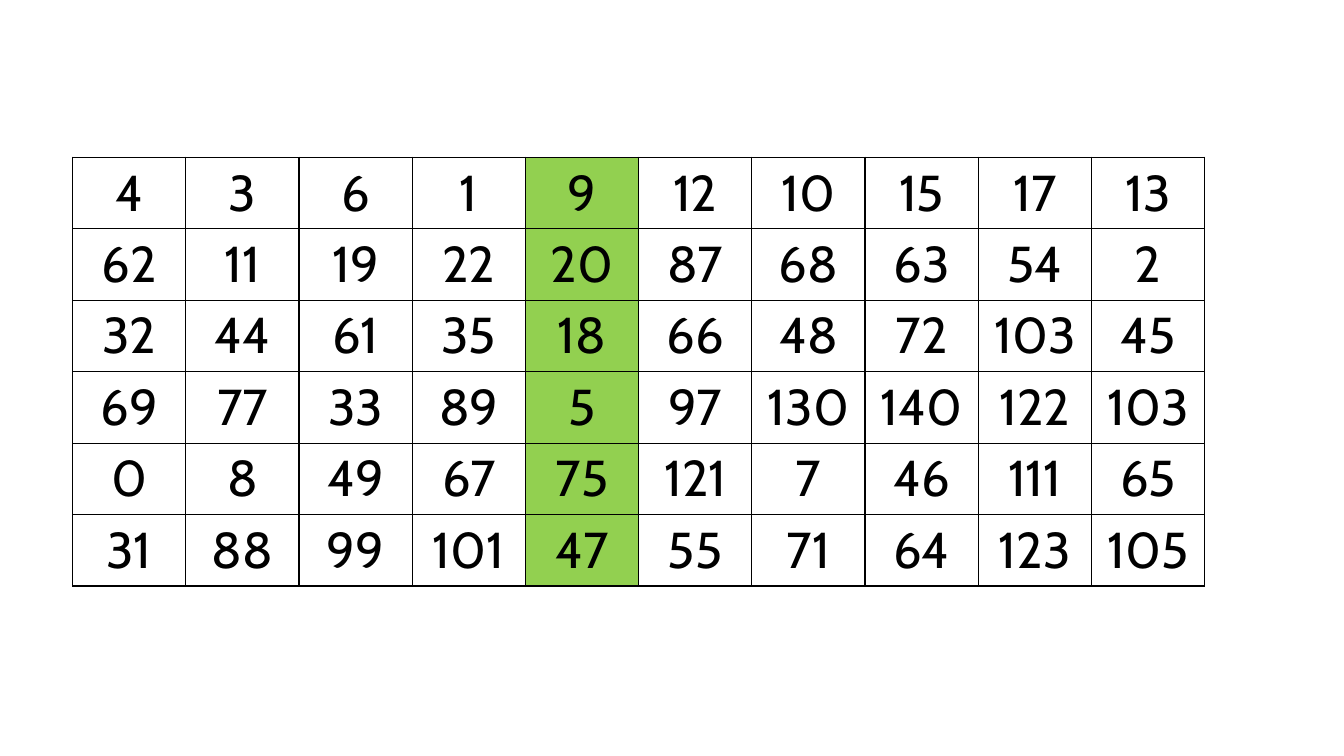
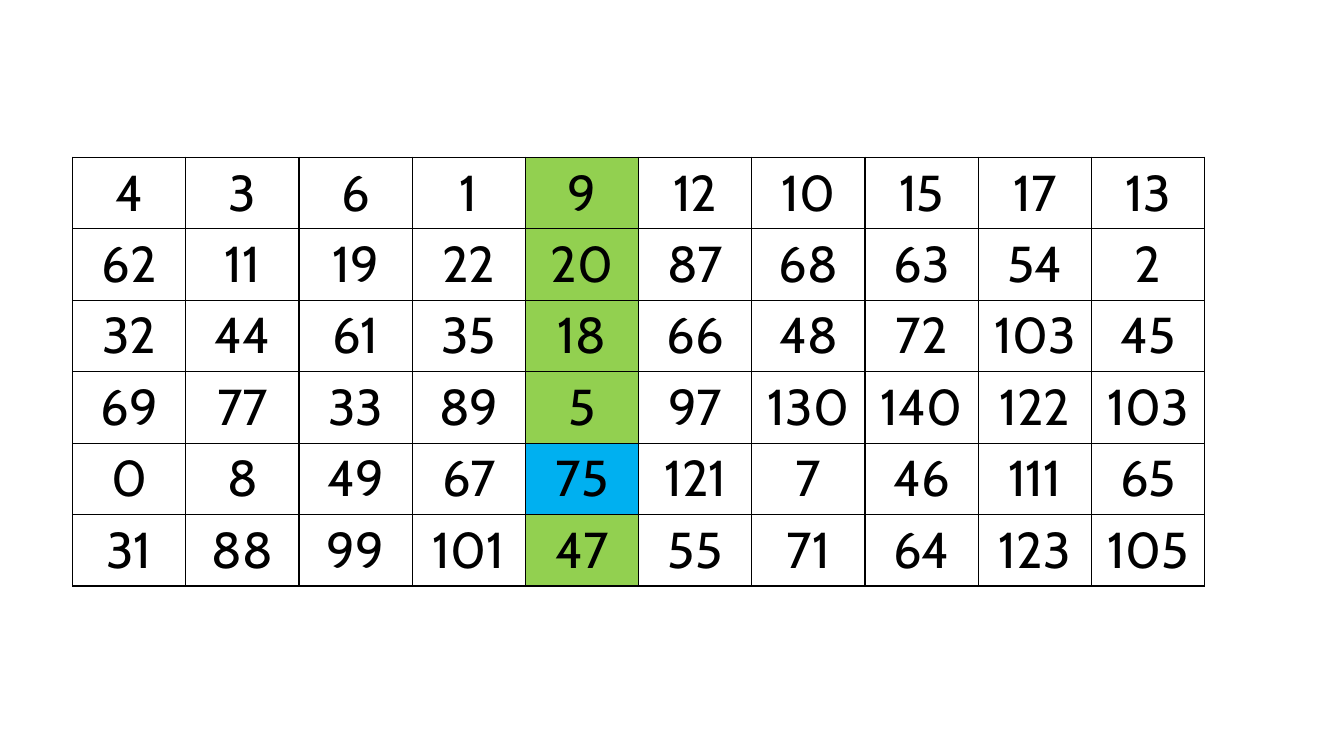
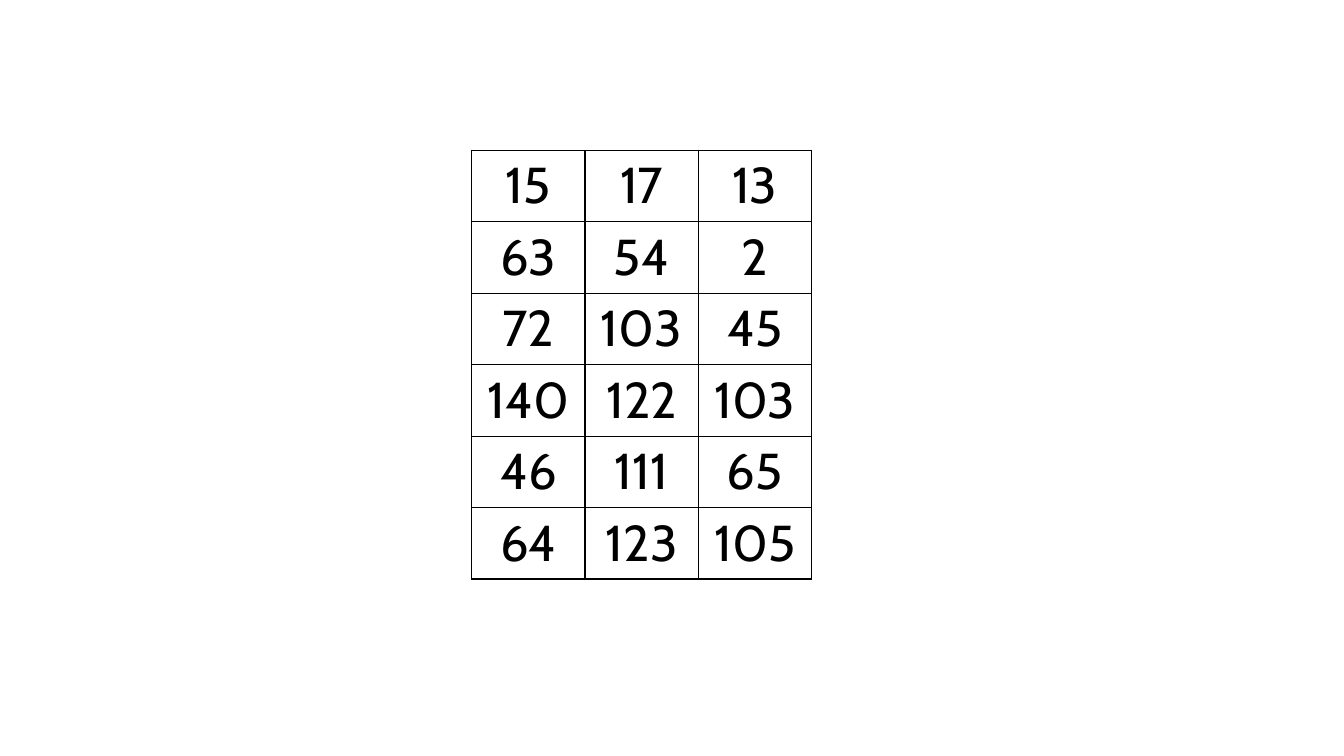
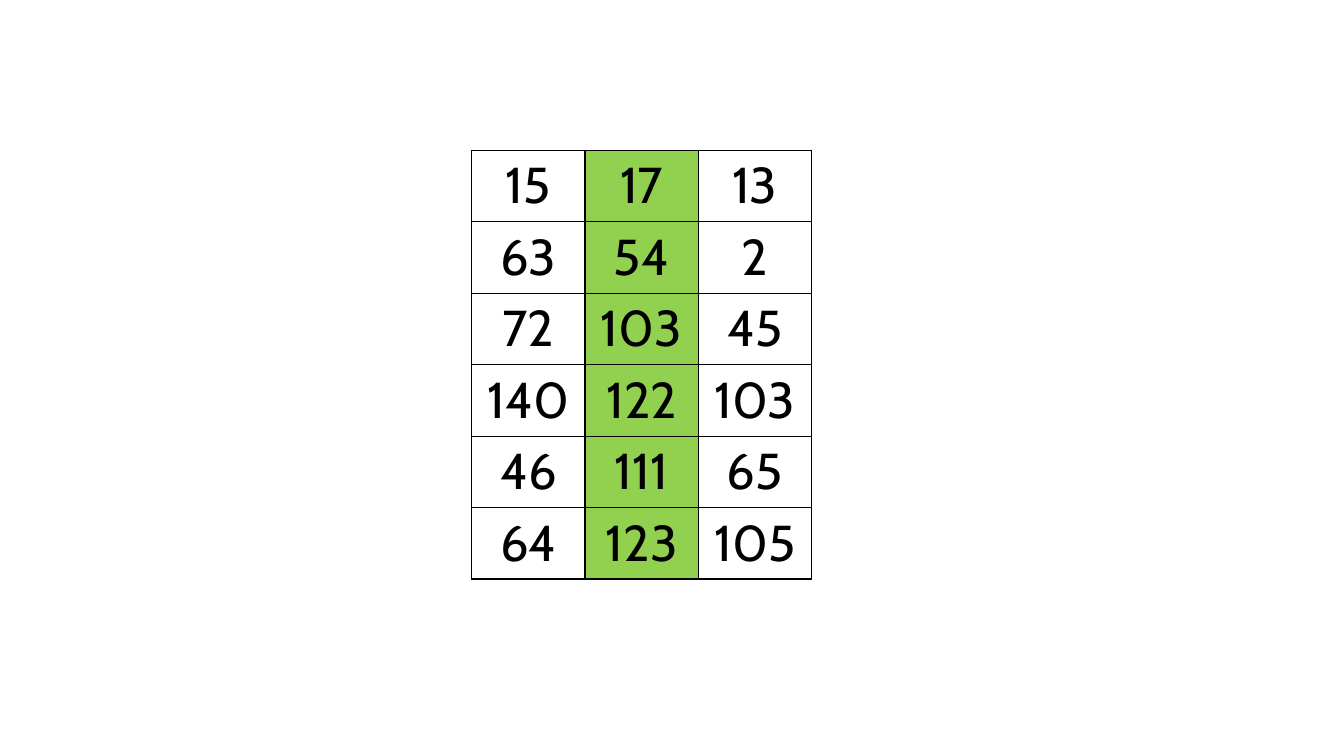
"""Build four slides that search a number grid for a peak, column by column."""
import lxml.etree
import pptx
import pptx.dml.color
import pptx.enum.text
import pptx.oxml.ns
import pptx.util

WHITE, BLACK, GREEN, BLUE = "FFFFFF", "000000", "92D050", "00B0F0"
FONT = "Cabin"
FONT_SIZE = 36
BORDER_WIDTH = 1
COLUMN_WIDTH = 1.123
ROW_HEIGHT = 0.7

NUMBERS = [
    [4, 3, 6, 1, 9, 12, 10, 15, 17, 13],
    [62, 11, 19, 22, 20, 87, 68, 63, 54, 2],
    [32, 44, 61, 35, 18, 66, 48, 72, 103, 45],
    [69, 77, 33, 89, 5, 97, 130, 140, 122, 103],
    [0, 8, 49, 67, 75, 121, 7, 46, 111, 65],
    [31, 88, 99, 101, 47, 55, 71, 64, 123, 105],
]
LAST_COLUMNS = [row[-3:] for row in NUMBERS]
FULL_POSITION = (0.72, 1.56)
LAST_POSITION = (4.68, 1.49)


def color(hex_string):
    return pptx.dml.color.RGBColor.from_string(hex_string)


def add_borders(cell):
    properties = cell._tc.get_or_add_tcPr()
    for side in ("a:lnL", "a:lnR", "a:lnT", "a:lnB"):
        line = lxml.etree.SubElement(properties, pptx.oxml.ns.qn(side))
        line.set("w", str(pptx.util.Pt(BORDER_WIDTH)))
        fill = lxml.etree.SubElement(line, pptx.oxml.ns.qn("a:solidFill"))
        lxml.etree.SubElement(fill, pptx.oxml.ns.qn("a:srgbClr")).set("val", BLACK)


presentation = pptx.Presentation()
presentation.slide_width = pptx.util.Inches(13.33)
presentation.slide_height = pptx.util.Inches(7.5)
blank_layout = presentation.slide_layouts[6]

steps = [
    (NUMBERS, FULL_POSITION, 4, None),
    (NUMBERS, FULL_POSITION, 4, 4),
    (LAST_COLUMNS, LAST_POSITION, None, None),
    (LAST_COLUMNS, LAST_POSITION, 1, None),
]

for numbers, (left, top), middle_column, maximum_row in steps:
    slide = presentation.slides.add_slide(blank_layout)
    row_count, column_count = len(numbers), len(numbers[0])
    table = slide.shapes.add_table(
        row_count,
        column_count,
        pptx.util.Inches(left),
        pptx.util.Inches(top),
        pptx.util.Inches(column_count * COLUMN_WIDTH),
        pptx.util.Inches(row_count * ROW_HEIGHT),
    ).table
    table.first_row = False
    table.horz_banding = False

    for row_index, row in enumerate(numbers):
        for column_index, number in enumerate(row):
            cell = table.cell(row_index, column_index)
            add_borders(cell)
            cell_color = WHITE
            if column_index == middle_column:
                cell_color = BLUE if row_index == maximum_row else GREEN
            cell.fill.solid()
            cell.fill.fore_color.rgb = color(cell_color)

            paragraph = cell.text_frame.paragraphs[0]
            paragraph.alignment = pptx.enum.text.PP_ALIGN.CENTER
            run = paragraph.add_run()
            run.text = str(number)
            run.font.name = FONT
            run.font.size = pptx.util.Pt(FONT_SIZE)
            run.font.color.rgb = color(BLACK)

presentation.save("out.pptx")
